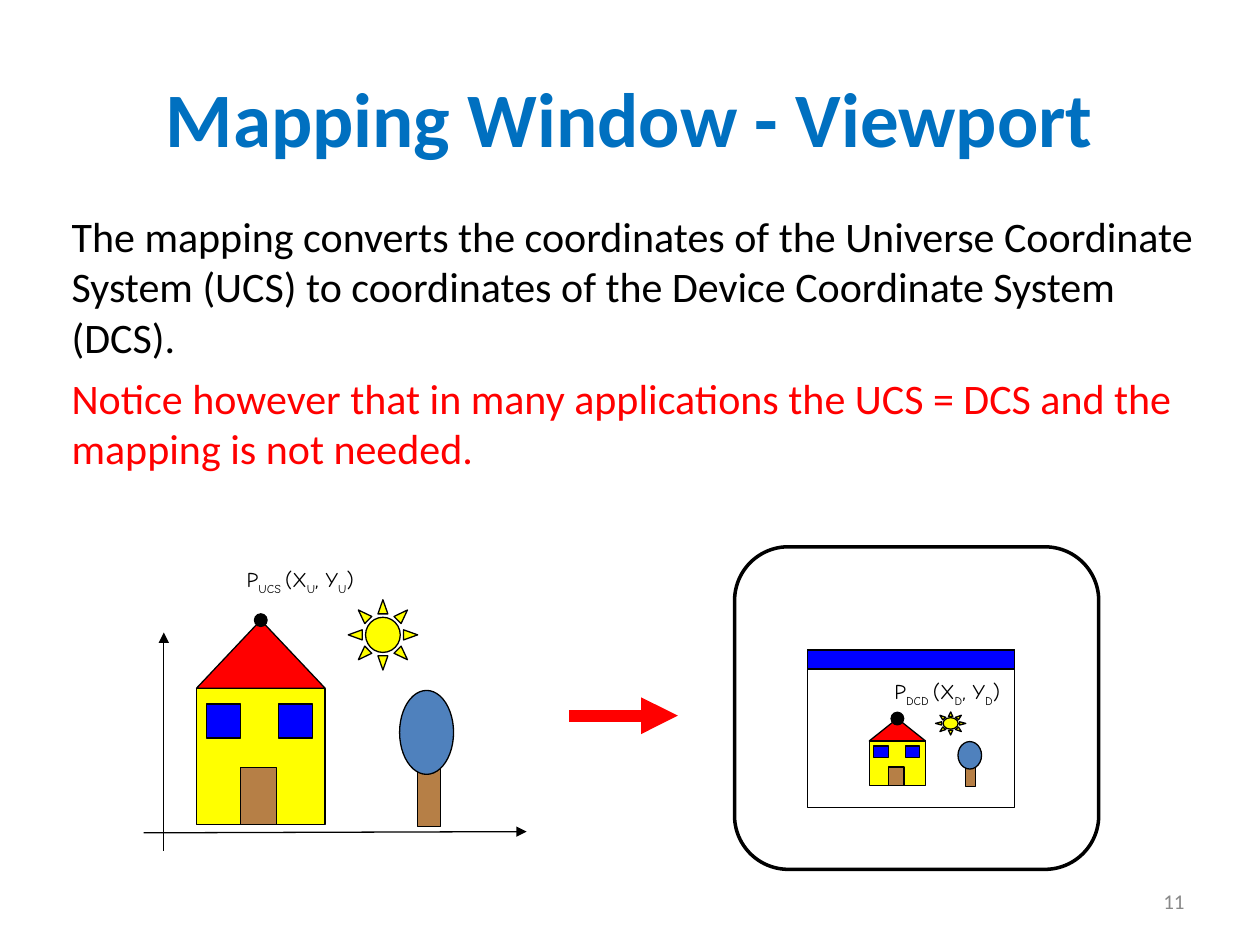
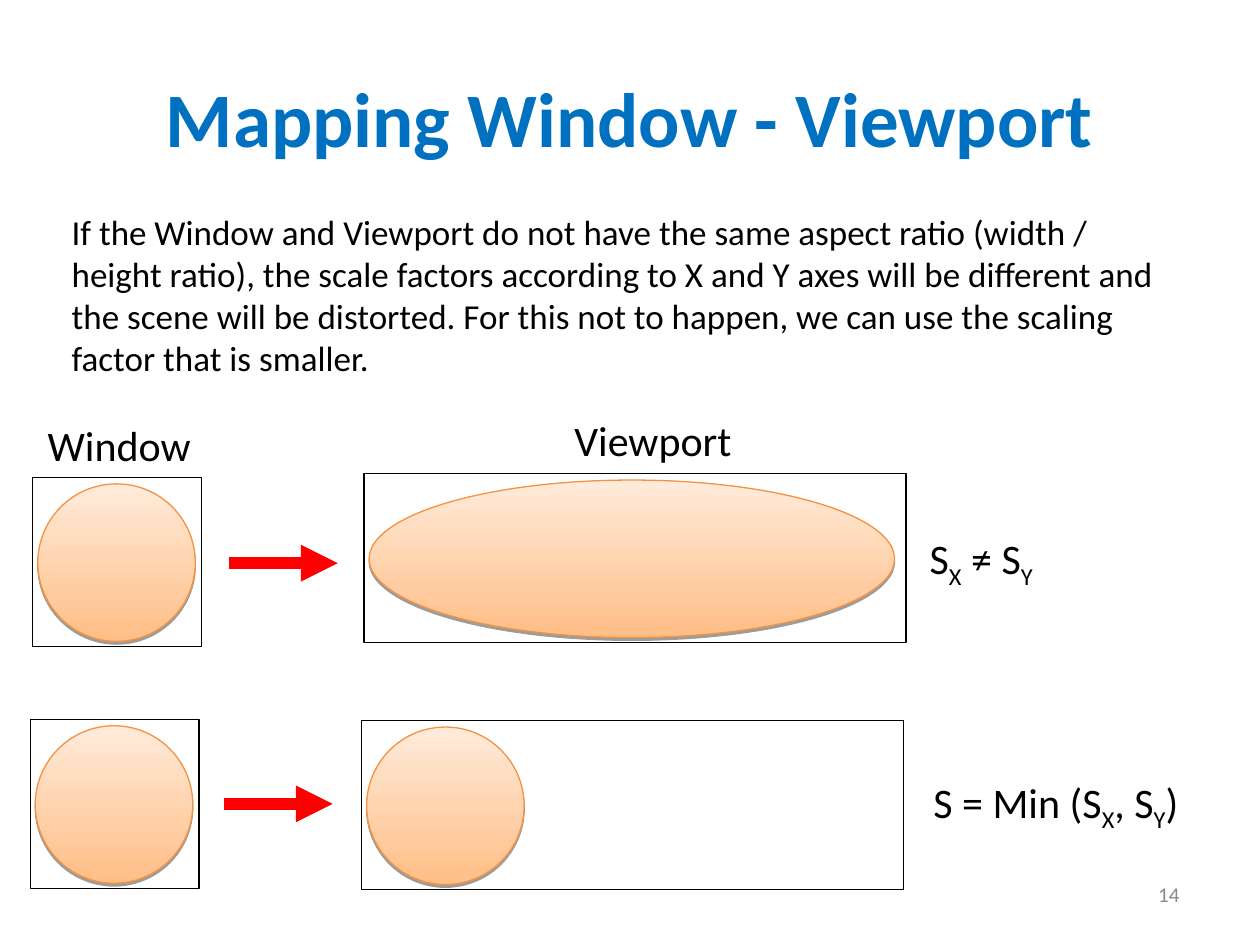
from lxml.etree import SubElement
from pptx import Presentation
from pptx.dml.color import RGBColor
from pptx.enum.shapes import MSO_CONNECTOR, MSO_SHAPE
from pptx.enum.text import MSO_ANCHOR, MSO_AUTO_SIZE, PP_ALIGN
from pptx.oxml.ns import qn
from pptx.util import Inches, Pt

COLS, ROWS = 100, 75
CELL = Inches(10) / COLS
BLACK, WHITE, RED, YELLOW, BLUE = "000000", "FFFFFF", "FF0000", "FFFF00", "0000FF"
TITLE_BLUE, GREY, WOOD, LEAVES = "0070C0", "898989", "B67F46", "4F81BD"
PEACH, PALE_PEACH, ORANGE = "FFBE86", "FFEBDB", "F69240"
FONT, HAND_FONT = "Calibri", "Comic Neue"
WINDOW_SIDE, VIEWPORT_WIDTH, CIRCLE_SIDE = 13.4, 43, 12.5
ARROW_LENGTH, DOT_SIDE = 8.6, 1

SCENE_PARTS = [
    (MSO_SHAPE.RECTANGLE, WOOD, (0.86, 0.71, 0.09, 0.29)),
    (MSO_SHAPE.OVAL, LEAVES, (0.79, 0.4, 0.21, 0.37)),
    (MSO_SHAPE.RECTANGLE, YELLOW, (0, 0.39, 0.5, 0.6)),
    (MSO_SHAPE.ISOSCELES_TRIANGLE, RED, (0, 0.09, 0.5, 0.3)),
    (MSO_SHAPE.RECTANGLE, WOOD, (0.17, 0.74, 0.14, 0.25)),
    (MSO_SHAPE.RECTANGLE, BLUE, (0.04, 0.46, 0.13, 0.15)),
    (MSO_SHAPE.RECTANGLE, BLUE, (0.32, 0.46, 0.13, 0.15)),
    (MSO_SHAPE.SUN_8 if hasattr(MSO_SHAPE, "SUN_8") else MSO_SHAPE.SUN, YELLOW, (0.59, 0, 0.27, 0.31)),
]
ROOF_TOP = (0.25, 0.09)


def rgb(value):
    """Turn a hex string into a colour."""
    return RGBColor.from_string(value)


def cells(*lengths):
    """Turn grid cells into slide lengths."""
    return [round(n * CELL) for n in lengths]


def add_runs(p, parts, size, color, font=FONT, bold=False):
    """Add runs to a paragraph; every second one is a subscript."""
    for i, part in enumerate(parts):
        r = p.add_run()
        r.text = part
        r.font.size, r.font.name, r.font.bold = Pt(size), font, bold
        r.font.color.rgb = rgb(color)
        if i % 2:
            r.font._element.set("baseline", "-25000")


def add_box(s, box, anchor=MSO_ANCHOR.TOP, wrap=True):
    """Add an empty text box and return its text frame."""
    tf = s.shapes.add_textbox(*cells(*box)).text_frame
    tf.word_wrap, tf.vertical_anchor = wrap, anchor
    tf.auto_size = MSO_AUTO_SIZE.NONE if wrap else MSO_AUTO_SIZE.SHAPE_TO_FIT_TEXT
    return tf


def add_label(s, box, parts, size=24, font=FONT):
    """Add a one-line label that fits its text."""
    add_runs(add_box(s, box, wrap=False).paragraphs[0], parts, size, BLACK, font)


def add_body(s, box, paragraphs, size, gap):
    """Add body text from (text, colour) paragraphs."""
    tf = add_box(s, box)
    for i, (text, color) in enumerate(paragraphs):
        p = tf.add_paragraph() if i else tf.paragraphs[0]
        p.space_before = Pt(gap)
        add_runs(p, [text], size, color)


def add_figure(s, kind, box, fill=None, line=BLACK, width=0.75):
    """Add an outlined preset shape, filled or hollow."""
    sp = s.shapes.add_shape(kind, *cells(*box))
    sp.shadow.inherit = False
    sp.line.color.rgb, sp.line.width = rgb(line), Pt(width)
    if fill:
        sp.fill.solid()
        sp.fill.fore_color.rgb = rgb(fill)
    else:
        sp.fill.background()
    return sp


def add_arrow(s, start, end, color=BLACK, width=0.75):
    """Add a straight arrow between two grid points."""
    c = s.shapes.add_connector(MSO_CONNECTOR.STRAIGHT, *cells(*start, *end))
    c.line.color.rgb, c.line.width = rgb(color), Pt(width)
    SubElement(c.line._get_or_add_ln(), qn("a:tailEnd"), type="triangle")
    SubElement(c._element.spPr, qn("a:effectLst"))


def add_mapping_arrow(s, x, y):
    """Add the thick red arrow of a mapping."""
    add_arrow(s, (x, y), (x + ARROW_LENGTH, y), RED, 7)


def add_ellipse(s, box):
    """Add a peach gradient ellipse with a thin shadow below."""
    sp = add_figure(s, MSO_SHAPE.OVAL, box, line=ORANGE)
    sp.fill.gradient()
    sp.fill.gradient_angle = 90
    for stop, color in zip(sp.fill.gradient_stops, (PEACH, PALE_PEACH)):
        stop.color.rgb = rgb(color)
    effects = sp._element.spPr.find(qn("a:effectLst"))
    shadow = SubElement(effects, qn("a:outerShdw"), blurRad="0", dist="20000",
                        dir="5400000", rotWithShape="0")
    tint = SubElement(shadow, qn("a:srgbClr"), val=BLACK)
    SubElement(tint, qn("a:alpha"), val="38000")


def add_scene(s, x, y, w, h):
    """Draw house, tree and sun in a frame, with a dot on the roof top."""
    for kind, fill, (px, py, pw, ph) in SCENE_PARTS:
        add_figure(s, kind, (x + px * w, y + py * h, pw * w, ph * h), fill)
    dot_x, dot_y = x + ROOF_TOP[0] * w, y + ROOF_TOP[1] * h
    add_figure(s, MSO_SHAPE.OVAL,
               (dot_x - DOT_SIDE / 2, dot_y - DOT_SIDE / 2, DOT_SIDE, DOT_SIDE), BLACK)


def add_framed_ellipse(s, x, y, frame_width, ellipse_width):
    """Draw a hollow frame with an ellipse at its left."""
    add_figure(s, MSO_SHAPE.RECTANGLE, (x, y, frame_width, WINDOW_SIDE))
    add_ellipse(s, (x + 0.4, y + 0.5, ellipse_width, CIRCLE_SIDE))


def add_mapping(s, window, arrow, viewport, ellipse_width):
    """Draw a window, an arrow and the viewport it maps to."""
    add_framed_ellipse(s, *window, WINDOW_SIDE, CIRCLE_SIDE)
    add_framed_ellipse(s, *viewport, VIEWPORT_WIDTH, ellipse_width)
    add_mapping_arrow(s, *arrow)


def add_slide(prs, number, number_at):
    """Add a slide with the shared title and its page number."""
    s = prs.slides.add_slide(prs.slide_layouts[6])
    for text, box, align, style in (
        ("Mapping Window - Viewport", (5, 3, 90, 12.5), PP_ALIGN.CENTER,
         (44, TITLE_BLUE, FONT, True)),
        (number, (*number_at, 23.3, 4), PP_ALIGN.RIGHT, (12, GREY)),
    ):
        p = add_box(s, box, MSO_ANCHOR.MIDDLE).paragraphs[0]
        p.alignment = align
        add_runs(p, [text], *style)
    return s


def add_coordinates_slide(prs):
    """Show a scene mapped from universe to device coordinates."""
    s = add_slide(prs, "11", (71.7, 69.5))
    add_body(s, (4.7, 16.2, 91.8, 22.3), [
        ("The mapping converts the coordinates of the Universe Coordinate System (UCS) "
         "to coordinates of the Device Coordinate System (DCS).", BLACK),
        ("Notice however that in many applications the UCS = DCS and the mapping is "
         "not needed.", RED),
    ], 24, 6)
    add_arrow(s, (13, 67.5), (13, 50.2))
    add_arrow(s, (11.4, 66.1), (41.8, 66))
    add_scene(s, 15.6, 47.6, 20.4, 18)
    add_figure(s, MSO_SHAPE.ROUNDED_RECTANGLE, (58.3, 43.4, 28.9, 25.6), WHITE, width=2)
    add_figure(s, MSO_SHAPE.RECTANGLE, (64.1, 51.6, 16.4, 12.5), WHITE)
    add_figure(s, MSO_SHAPE.RECTANGLE, (64.1, 51.6, 16.4, 1.5), BLUE)
    add_scene(s, 69, 56.5, 8.9, 5.9)
    add_mapping_arrow(s, 45.2, 56.8)
    add_label(s, (18.6, 44.5, 10.5, 3.3),
              ["P", "UCS ", "(X", "U", ", Y", "U", ")"], 12, HAND_FONT)
    add_label(s, (70, 53.4, 10.4, 3.3),
              ["P", "DCD ", "(X", "D", ", Y", "D", ")"], 12, HAND_FONT)


def add_aspect_slide(prs):
    """Compare mapping with unequal scales and with the smaller scale."""
    s = add_slide(prs, "14", (71.3, 69))
    add_body(s, (4.7, 16.2, 90.2, 15.7), [
        ("If the Window and Viewport do not have the same aspect ratio (width / height "
         "ratio), the scale factors according to X and Y axes will be different and the "
         "scene will be distorted. For this not to happen, we can use the scaling factor "
         "that is smaller.", BLACK),
    ], 20, 5)
    add_mapping(s, (2.6, 37.9), (18.2, 44.7), (28.9, 37.6), 41.7)
    add_mapping(s, (2.4, 57.1), (17.8, 63.8), (28.7, 57.2), CIRCLE_SIDE)
    add_label(s, (2.8, 32.8, 13.4, 5), ["Window"])
    add_label(s, (44.6, 32.4, 14.5, 5), ["Viewport"])
    add_label(s, (72.8, 41.8, 10.2, 5.6), ["S", "X", " ≠ S", "Y"])
    add_label(s, (73.1, 61.1, 21.4, 5.6), ["S = Min (S", "X", ", S", "Y", ")"])


def main():
    """Build and save the two slides."""
    prs = Presentation()
    prs.slide_width, prs.slide_height = cells(COLS, ROWS)
    add_coordinates_slide(prs)
    add_aspect_slide(prs)
    prs.save("out.pptx")


if __name__ == "__main__":
    main()
